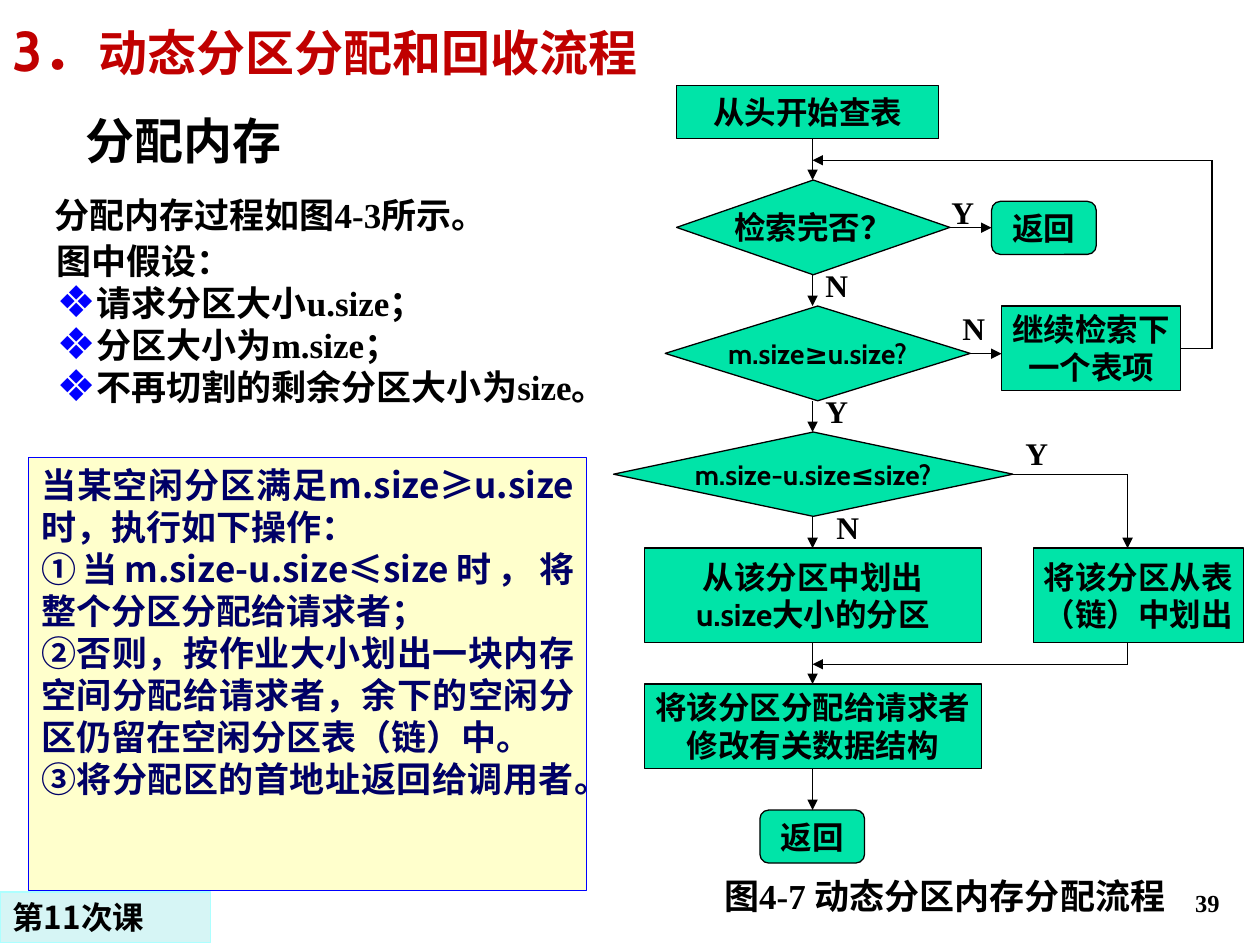
from lxml.etree import SubElement
from pptx import Presentation
from pptx.dml.color import RGBColor
from pptx.enum.shapes import MSO_CONNECTOR as Connector, MSO_SHAPE as Shape
from pptx.enum.text import MSO_ANCHOR as Anchor, MSO_AUTO_SIZE as AutoSize, PP_ALIGN as Align
from pptx.oxml.ns import qn
from pptx.util import Cm, Pt

SANS = "Noto Sans CJK SC"
SERIF = "Times New Roman"
CABIN = "Cabin"


def color(value):
    return RGBColor.from_string(value)


def write(shape, lines, size, font, text_color="000000", align=Align.LEFT, anchor=Anchor.TOP):
    frame = shape.text_frame
    frame.text = "\n".join(lines)
    frame.auto_size = AutoSize.NONE
    frame.word_wrap = True
    frame.vertical_anchor = anchor
    for paragraph in frame.paragraphs:
        paragraph.alignment = align
        paragraph.space_before = Pt(0)
        for run in paragraph.runs:
            run.font.size = Pt(size)
            run.font.bold = True
            run.font.name = font
            run.font.color.rgb = color(text_color)
            SubElement(run.font._element, qn("a:ea")).set("typeface", SANS)


presentation = Presentation()
presentation.slide_width = Cm(25.4)
presentation.slide_height = Cm(19.05)
slide = presentation.slides.add_slide(presentation.slide_layouts[1])
shapes = slide.shapes

title = shapes.title
title.left, title.top, title.width, title.height = Cm(0), Cm(0.18), Cm(13.74), Cm(1.63)
write(title, ["3．"], 32, CABIN, "C00000")
heading_run = title.text_frame.paragraphs[0].add_run()
heading_run.text = "动态分区分配和回收流程"
heading_run.font.size = Pt(28)
heading_run.font.bold = True
heading_run.font.name = CABIN
heading_run.font.color.rgb = color("C00000")
SubElement(heading_run.font._element, qn("a:ea")).set("typeface", SANS)

body = slide.placeholders[1]
body.left, body.top, body.width, body.height = Cm(0.89), Cm(4.7), Cm(12.62), Cm(3.66)
assumptions = ["图中假设：", "请求分区大小u.size；", "分区大小为m.size；", "不再切割的剩余分区大小为size。"]
write(body, assumptions, 20, SERIF)
for index, paragraph in enumerate(body.text_frame.paragraphs):
    properties = paragraph._p.get_or_add_pPr()
    indent = Cm(0.8) if index else 0
    properties.set("marL", str(indent))
    properties.set("indent", str(-indent))
    if index:
        bullet_color = SubElement(properties, qn("a:buClr"))
        SubElement(bullet_color, qn("a:srgbClr")).set("val", "0000FF")
        SubElement(properties, qn("a:buSzPct")).set("val", "125000")
        SubElement(properties, qn("a:buChar")).set("char", "❖")
    else:
        SubElement(properties, qn("a:buNone"))

text_boxes = [
    (1.47, 2.11, 8.46, 1.45, "分配内存", 28, SANS, Align.LEFT, Anchor.TOP),
    (0.84, 3.78, 11.1, 1.12, "分配内存过程如图4-3所示。", 20, SERIF, Align.LEFT, Anchor.TOP),
    (13, 17.5, 12.09, 1.12, "图4-7 动态分区内存分配流程", 20, SERIF, Align.CENTER, Anchor.TOP),
    (19.56, 17.35, 5.28, 1.27, "39", 14, SERIF, Align.RIGHT, Anchor.BOTTOM),
]
for left, top, width, height, text, size, font, align, anchor in text_boxes:
    box = shapes.add_textbox(Cm(left), Cm(top), Cm(width), Cm(height))
    write(box, [text], size, font, align=align, anchor=anchor)

operations = [
    "当某空闲分区满足m.size≥u.size时，执行如下操作：",
    "①当m.size-u.size≤size时，将整个分区分配给请求者；",
    "②否则，按作业大小划出一块内存空间分配给请求者，余下的空闲分区仍留在空闲分区表（链）中。",
    "③将分配区的首地址返回给调用者。",
]
panels = [
    (0.58, 9.22, 11.25, 8.74, operations, 20, "000066", "FFFFCC", "0000FF", Align.JUSTIFY),
    (0, 17.98, 4.24, 1.02, ["第11次课"], 18, "000000", "D6F5F5", "ADFFFF", Align.LEFT),
]
for left, top, width, height, lines, size, text_color, fill, line, align in panels:
    panel = shapes.add_shape(Shape.RECTANGLE, Cm(left), Cm(top), Cm(width), Cm(height))
    panel.shadow.inherit = False
    panel.fill.solid()
    panel.fill.fore_color.rgb = color(fill)
    panel.line.color.rgb = color(line)
    panel.line.width = Pt(0.75)
    write(panel, lines, size, SANS, text_color, align)

PROCESS = Shape.FLOWCHART_PROCESS
DECISION = Shape.FLOWCHART_DECISION
ROUNDED = Shape.FLOWCHART_ALTERNATE_PROCESS
flow_steps = [
    (PROCESS, 13.64, 1.73, 5.28, 1.07, ["从头开始查表"], 18),
    (DECISION, 13.64, 3.63, 5.51, 1.91, ["检索完否？"], 18),
    (DECISION, 13.41, 6.17, 6.15, 1.91, ["m.size≥u.size?"], 16),
    (DECISION, 12.37, 8.71, 8.05, 1.7, ["m.size-u.size≤size?"], 16),
    (PROCESS, 13, 11.05, 6.78, 1.91, ["从该分区中划出", "u.size大小的分区"], 18),
    (PROCESS, 13, 13.79, 6.78, 1.7, ["将该分区分配给请求者", "修改有关数据结构"], 18),
    (ROUNDED, 15.32, 16.33, 2.11, 1.07, ["返回"], 18),
    (ROUNDED, 19.99, 4.06, 2.11, 1.07, ["返回"], 18),
    (PROCESS, 20.19, 6.17, 3.61, 1.7, ["继续检索下", "一个表项"], 18),
    (PROCESS, 20.83, 11.05, 4.24, 1.91, ["将该分区从表", "（链）中划出"], 18),
]
for kind, left, top, width, height, lines, size in flow_steps:
    step = shapes.add_shape(kind, Cm(left), Cm(top), Cm(width), Cm(height))
    step.shadow.inherit = False
    step.fill.solid()
    step.fill.fore_color.rgb = color("00E4A8")
    step.line.color.rgb = color("000000")
    step.line.width = Pt(0.75)
    write(step, lines, size, CABIN, align=Align.CENTER, anchor=Anchor.MIDDLE)
    step.text_frame.word_wrap = False

axis = 16.38
gaps = [(2.8, 3.63), (5.54, 6.17), (8.08, 8.71), (10.41, 11.05), (12.96, 13.79), (15.49, 16.33)]
routes = [[(axis, start), (axis, end)] for start, end in gaps] + [
    [(19.15, 4.59), (19.99, 4.59)],
    [(19.56, 7.13), (20.19, 7.13)],
    [(20.42, 9.57), (22.73, 9.57), (22.73, 11.05)],
    [(22.73, 12.96), (22.73, 13.39), (axis, 13.39)],
    [(23.8, 7.03), (24.43, 7.03), (24.43, 3.23), (axis, 3.23)],
]
for route in routes:
    for start, end in zip(route, route[1:]):
        connector = shapes.add_connector(
            Connector.STRAIGHT, Cm(start[0]), Cm(start[1]), Cm(end[0]), Cm(end[1]))
        connector.line.color.rgb = color("000000")
        connector.line.width = Pt(0.75)
        if end == route[-1]:
            SubElement(connector.line._get_or_add_ln(), qn("a:tailEnd")).set("type", "triangle")
        SubElement(connector._element.spPr, qn("a:effectLst"))

branch_labels = [
    ("Y", 19.13, 3.86), ("N", 16.59, 5.33), ("N", 19.35, 6.2),
    ("Y", 16.59, 7.87), ("Y", 20.62, 8.71), ("N", 16.81, 10.21),
]
for text, left, top in branch_labels:
    label = shapes.add_textbox(Cm(left), Cm(top), Cm(0.64), Cm(0.81))
    write(label, [text], 18, SERIF)
    frame = label.text_frame
    frame.margin_left = frame.margin_right = Cm(0.05)
    frame.margin_top = frame.margin_bottom = Cm(0.03)

presentation.save("out.pptx")
